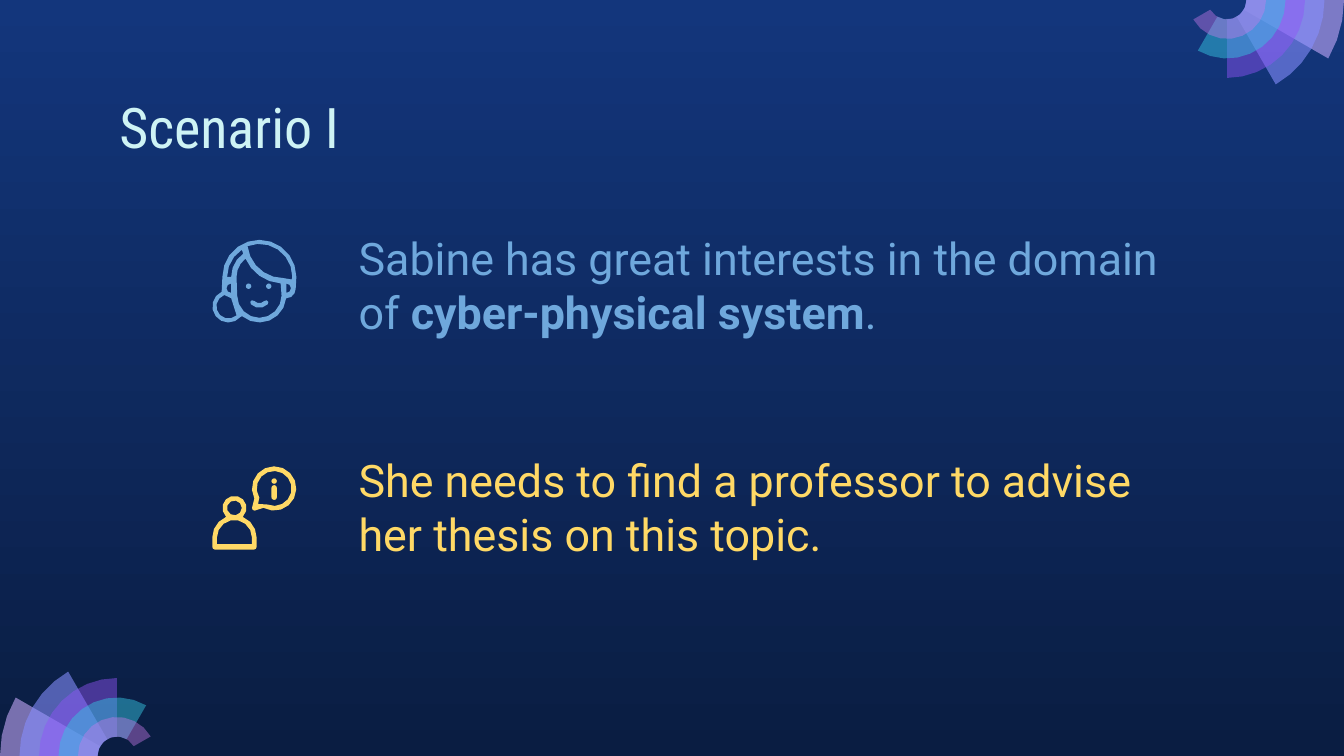
from math import acos, ceil, cos, radians, sin
from lxml.etree import SubElement as Sub
from pptx import Presentation
from pptx.dml.color import RGBColor
from pptx.enum.shapes import MSO_SHAPE as Kind
from pptx.oxml.ns import qn
from pptx.util import Cm, Pt

BLUE = RGBColor(0x6F, 0xA8, 0xDC)
GOLD = RGBColor(0xFF, 0xD9, 0x66)
MINT = RGBColor(0xCE, 0xF3, 0xF5)
SKY = RGBColor(0x13, 0x36, 0x7C)
NIGHT = RGBColor(0x0A, 0x1D, 0x42)

TITLE = "Scenario I"
BODY = [
    (BLUE, [("Sabine has great interests in the domain of ", False),
            ("cyber-physical system", True), (".", False)]),
    (GOLD, [("She needs to find a professor to advise her thesis on this topic.", False)]),
]
PETALS = [
    (RGBColor(0xC8, 0xAC, 0xFD), 58),
    (RGBColor(0x87, 0x8F, 0xFF), 58),
    (RGBColor(0x91, 0x54, 0xF8), 46),
    (RGBColor(0x35, 0xC2, 0xDF), 49),
    (RGBColor(0xCA, 0x7B, 0xEB), 42),
]
FANS = [(87, 562.5, 180), (913, 0, 0)]


def spot(x, y):
    return (x, y, 0, 0, 0)


# Each arc is centre x, centre y, radius, start and end angle, in 1/100 inch.
GIRL = [
    [
        [(35, 28, 27.5, 180, 360), (55, 37, 7, 0, 90),
         (35, 42, 20, 6, 130), (12, 50, 12, 40, 245)],
        [(35, 28, 24, 180, 237), (35, 28, 21, 235, 180)],
        [(35, 28, 24.5, 248, 360), spot(59, 30), (53, 2, 27, 90, 173)],
        [(14, 36.5, 3.5, 90, 270)],
        [(55, 36.5, 3.5, -90, 90)],
        [(12, 50, 9, 48, 250), spot(14, 44)],
        [(53, 2, 31, 157, 94), (35, 42, 16.5, 0, 180), (35, 28, 17, 180, 232)],
    ],
    [[(35, 42, 9, 45, 135), (29.9, 47.1, 1.7, 135, 315),
      (35, 42, 5.5, 135, 45), (40.1, 47.1, 1.7, 225, 405)]],
]
GUIDE = [
    [
        [(16.5, 31, 9, 135, 405), (16.5, 53, 16.5, 293, 360),
         (31, 60, 2, 0, 90), (2, 60, 2, 90, 180), (16.5, 53, 16.5, 180, 247)],
        [(16.5, 31, 5.5, 0, 360)],
        [(16.5, 53, 13, 180, 360), spot(29.5, 58), spot(3.5, 58)],
    ],
    [
        [(46, 16.5, 16.5, 153, 479), (31.5, 31, 2, 90, 180)],
        [(46, 16.5, 13, 148, 473), spot(34, 28)],
    ],
]
EYES = [(25, 33, 4, 4), (40, 33, 4, 4)]
INFO = [(44, 9, 4, 4), (44, 14, 4, 11)]
ICONS = [(GIRL, EYES, 158, 178, BLUE), (GUIDE, INFO, 158, 347, GOLD)]


def size(n):
    return Cm(n * 0.0254)


def trace(arcs, left, top):
    pts = []
    for x, y, r, a, b in arcs:
        sweep = radians(b - a)
        n = ceil(abs(sweep) / (2 * acos(1 - 0.35 / r))) if r else 0
        for i in range(n + 1):
            t = radians(a) + sweep * i / max(n, 1)
            pts.append((size(left + x + r * cos(t)), size(top + y + r * sin(t))))
    return pts


def paint(shape, color):
    shape.shadow.inherit = False
    shape.line.fill.background()
    shape.fill.solid()
    shape.fill.fore_color.rgb = color
    return shape


def draw(group, loops, left, top, color):
    paths = [trace(arcs, left, top) for arcs in loops]
    pen = group.shapes.build_freeform(*paths[0][0], scale=1.0)
    pen.add_line_segments(paths[0][1:])
    for pts in paths[1:]:
        pen.move_to(*pts[0])
        pen.add_line_segments(pts[1:])
    return paint(pen.convert_to_shape(), color)


def box(slide, left, top, width, height):
    frame = slide.shapes.add_textbox(size(left), size(top), size(width), size(height)).text_frame
    frame.word_wrap = True
    frame.margin_left = frame.margin_right = size(10)
    frame.margin_top = frame.margin_bottom = size(10)
    return frame


def style(para, name, points, color):
    para.font.name = name
    para.font.size = Pt(points)
    para.font.color.rgb = color


def main():
    deck = Presentation()
    deck.slide_width, deck.slide_height = size(1000), size(562.5)
    slide = deck.slides.add_slide(deck.slide_layouts[6])
    fill = slide.background.fill
    fill.gradient()
    fill.gradient_angle = 270
    for stop, color in zip(fill.gradient_stops, (SKY, NIGHT)):
        stop.color.rgb = color

    for x, y, turn in FANS:
        group = slide.shapes.add_group_shape()
        for i, (color, alpha) in enumerate(PETALS):
            end = turn + 30 * (i + 1)
            ring = [(0, 0, 14.5 * (6 - i), turn, end), (0, 0, 14.5, end, turn)]
            petal = draw(group, [ring], x, y, color)
            tint = petal._element.spPr.find(qn("a:solidFill"))[0]
            Sub(tint, qn("a:alpha")).set("val", str(alpha * 1000))

    para = box(slide, 79, 59, 843, 63).paragraphs[0]
    para.text = TITLE
    style(para, "Roboto Condensed", 30, MINT)

    frame = box(slide, 257, 162, 626, 344)
    for i, (color, runs) in enumerate(BODY):
        para = frame.add_paragraph() if i else frame.paragraphs[0]
        style(para, "Roboto", 24, color)
        if i:
            para.space_before = Pt(61)
        for text, bold in runs:
            run = para.add_run()
            run.text = text
            if bold:
                run.font.bold = True

    for icon, pills, left, top, color in ICONS:
        group = slide.shapes.add_group_shape()
        for loops in icon:
            draw(group, loops, left, top, color)
        for x, y, width, height in pills:
            pill = group.shapes.add_shape(
                Kind.ROUNDED_RECTANGLE, size(left + x), size(top + y), size(width), size(height))
            pill.adjustments[0] = 0.5
            paint(pill, color)

    deck.save("out.pptx")


if __name__ == "__main__":
    main()
